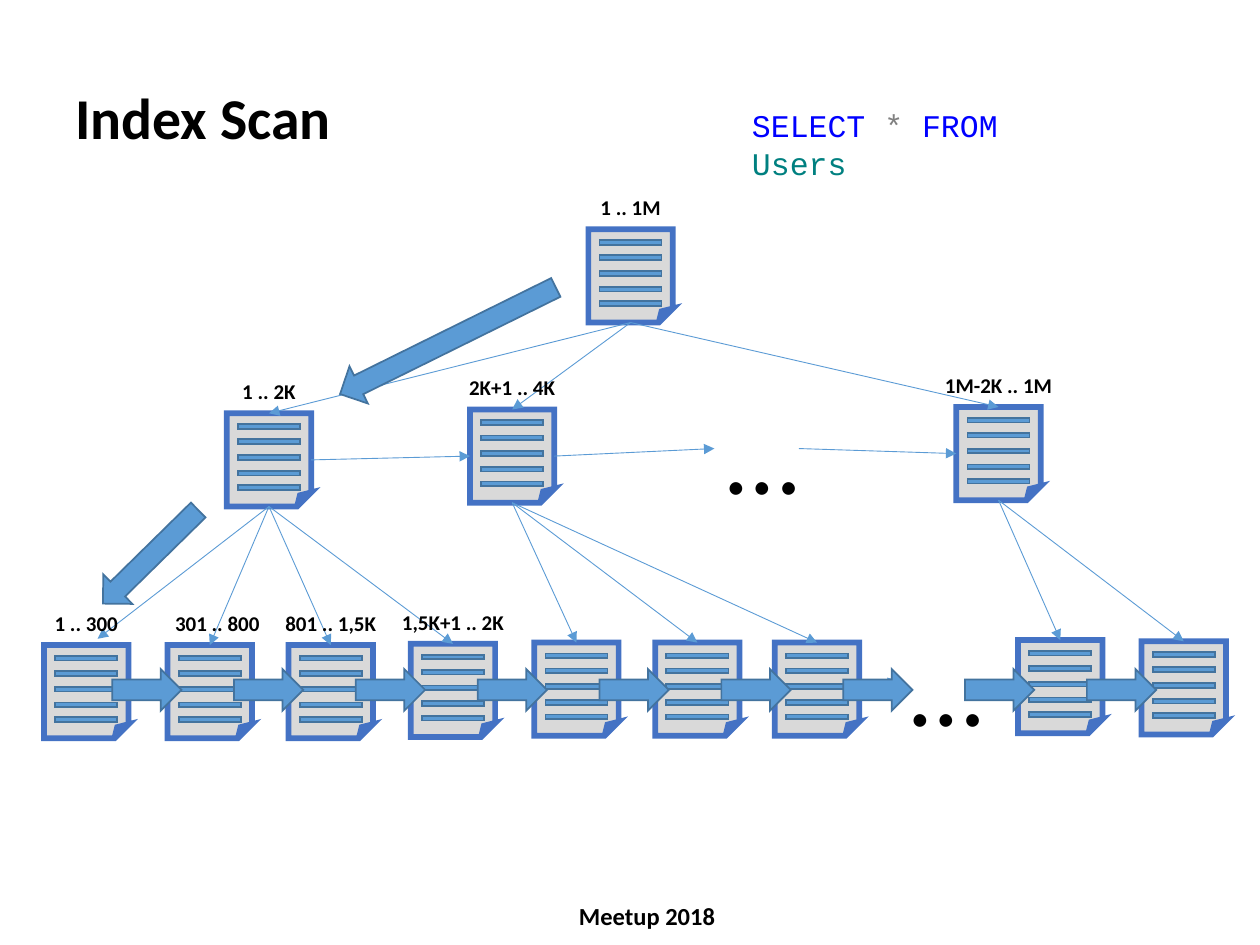
from dataclasses import dataclass
from itertools import pairwise

from lxml import etree
from pptx import Presentation
from pptx import util as u
from pptx.dml.color import RGBColor
from pptx.enum import shapes, text
from pptx.oxml.ns import qn

# The slide is a grid of 100 columns by 75 rows.
prs = Presentation()
prs.slide_width, prs.slide_height = u.Inches(10), u.Inches(7.5)
COL, ROW = prs.slide_width / 100, prs.slide_height / 75
slide = prs.slides.add_slide(prs.slide_layouts[6])

BLUE, BLUE_EDGE = "5B9BD5", "43739E"
PAGE_FILL, PAGE_EDGE = "D9D9D9", "4472C4"
BLACK = "000000"
PAGE_W, PAGE_H = 6.7, 7.4
BAR_H, BAR_ROWS = 1.6, (0.25, 1.45, 2.7, 3.95, 5.1)
LABEL_RISE, LABEL_H = 3.25, 2.9


@dataclass
class Node:
    """A page of the index, or a gap that stands for many pages."""
    x: float
    y: float
    label: str = ""
    label_w: float = 8.7
    label_shift: float = 0
    gap: bool = False

    @property
    def centre(self) -> float:
        return self.x + PAGE_W / 2

    @property
    def middle(self) -> float:
        return self.y + PAGE_H / 2


@dataclass
class Run:
    """A piece of text with one look."""
    text: str
    size: float
    color: str = BLACK
    bold: bool = False
    font: str = "Calibri"


@dataclass
class BlockArrow:
    """A thick arrow that points down before it is turned."""
    x: float
    y: float
    length: float
    turn: float
    width: float = 3.3


def rgb(value: str) -> RGBColor:
    """Turn a hex string into a colour."""
    return RGBColor.from_string(value)


def box(x: float, y: float, w: float, h: float) -> tuple[int, int, int, int]:
    """Turn columns and rows into slide lengths."""
    return round(x * COL), round(y * ROW), round(w * COL), round(h * ROW)


def add_shape(parent, kind, bounds, fill: str, edge: str, width: float):
    """Draw one flat preset shape with sharp corners."""
    sp = parent.add_shape(kind, *bounds)
    sp.shadow.inherit = False
    sp.fill.solid()
    sp.fill.fore_color.rgb = rgb(fill)
    sp.line.color.rgb = rgb(edge)
    sp.line.width = u.Pt(width)
    etree.SubElement(sp.line._get_or_add_ln(), qn("a:miter"), lim="800000")
    return sp


def add_text(bounds, runs: list[Run], align=text.PP_ALIGN.CENTER,
             anchor=text.MSO_ANCHOR.TOP, wrap: bool = False) -> None:
    """Write one paragraph, run by run."""
    tf = slide.shapes.add_textbox(*bounds).text_frame
    tf.word_wrap = wrap
    tf.vertical_anchor = anchor
    p = tf.paragraphs[0]
    p.alignment = align
    for run in runs:
        r = p.add_run()
        r.text = run.text
        r.font.name, r.font.size = run.font, u.Pt(run.size)
        r.font.bold = run.bold
        r.font.color.rgb = rgb(run.color)


def add_page(node: Node) -> None:
    """Draw a folded page with its bars as a group."""
    group = slide.shapes.add_group_shape().shapes
    add_shape(group, shapes.MSO_SHAPE.FOLDED_CORNER,
              box(node.x, node.y, PAGE_W, PAGE_H), PAGE_FILL, PAGE_EDGE, 3.25)
    for row in BAR_ROWS:
        add_shape(group, shapes.MSO_SHAPE.MATH_MINUS,
                  box(node.x, node.y + row, PAGE_W, BAR_H), BLUE, BLUE_EDGE, 1)


def add_link(x1: float, y1: float, x2: float, y2: float) -> None:
    """Draw a thin line with an arrowhead at its end."""
    start, end = box(x1, y1, 0, 0)[:2], box(x2, y2, 0, 0)[:2]
    line = slide.shapes.add_connector(shapes.MSO_CONNECTOR.STRAIGHT, *start, *end)
    line.line.color.rgb = rgb(BLUE)
    line.line.width = u.Pt(0.5)
    etree.SubElement(line.line._get_or_add_ln(), qn("a:tailEnd"), type="triangle")
    etree.SubElement(line._element.spPr, qn("a:effectLst"))


def add_block_arrow(arrow: BlockArrow) -> None:
    """Draw a turned block arrow."""
    sp = add_shape(slide.shapes, shapes.MSO_SHAPE.DOWN_ARROW,
                   box(arrow.x, arrow.y, arrow.width, arrow.length),
                   BLUE, BLUE_EDGE, 1)
    sp.rotation = arrow.turn


root = Node(46.7, 18.2, "1 .. 1M")
branches = [
    Node(18, 32.8, "1 .. 2K"),
    Node(37.3, 32.5, "2K+1 .. 4K", 9.1),
    Node(56.7, 31.9, gap=True),
    Node(75.9, 32.3, "1M-2K .. 1M", 11),
]
leaves = [
    Node(3.5, 51.2, "1 .. 300"),
    Node(13.3, 51.2, "301 .. 800", 9.3, 0.6),
    Node(22.9, 51.2, "801 .. 1,5K", 9.7),
    Node(32.6, 51.1, "1,5K+1 .. 2K", 11.4),
    Node(42.4, 51),
    Node(52, 51),
    Node(61.5, 51),
    Node(71.3, 50.3, gap=True),
    Node(80.8, 50.8),
    Node(90.6, 50.9),
]
nodes = [root, *branches, *leaves]
first, second, _, last = branches
families = [(root, [first, second, last]), (first, leaves[:4]),
            (second, leaves[4:7]), (last, leaves[8:])]

add_text(box(21.9, 70.6, 58.9, 4.2), [Run("Meetup 2018", 14, bold=True)],
         anchor=text.MSO_ANCHOR.MIDDLE, wrap=True)
add_text(box(5, 3, 90, 12.5), [Run("Index Scan", 33, bold=True)],
         text.PP_ALIGN.LEFT, text.MSO_ANCHOR.MIDDLE, True)

for node in nodes:
    if node.gap:
        add_text(box(node.x, node.middle - 5.2, 6.6, 10.4), [Run("…", 60)])
    else:
        add_page(node)

for parent, children in families:
    for child in children:
        # The first leaf is entered beside its label.
        dx, dy = (0.9, -0.5) if child is leaves[0] else (0, 0)
        add_link(parent.centre, parent.y + PAGE_H, child.centre + dx, child.y + dy)
for level in (branches, leaves):
    for left, right in pairwise(level):
        add_link(left.x + PAGE_W, left.middle, right.x, right.middle)

for node in nodes:
    if node.label:
        left = node.centre + node.label_shift - node.label_w / 2
        add_text(box(left, node.y - LABEL_RISE, node.label_w, LABEL_H),
                 [Run(node.label, 12, bold=True)])

query = [("SELECT ", "0000FF"), ("* ", "808080"), ("FROM ", "0000FF"), ("Users", "008080")]
add_text(box(58.7, 7.9, 29.6, 4),
         [Run(word, 18, color, font="Courier New") for word, color in query],
         text.PP_ALIGN.LEFT, wrap=True)

scan = [BlockArrow(10 + 9.67 * i, 52, 5.5, 270) for i in range(len(leaves) - 1)]
descent = [BlockArrow(33.9, 17.5, 19.1, 63.7), BlockArrow(10.3, 38.9, 10.6, 45.5)]
for arrow in scan + descent:
    add_block_arrow(arrow)

prs.save("out.pptx")
